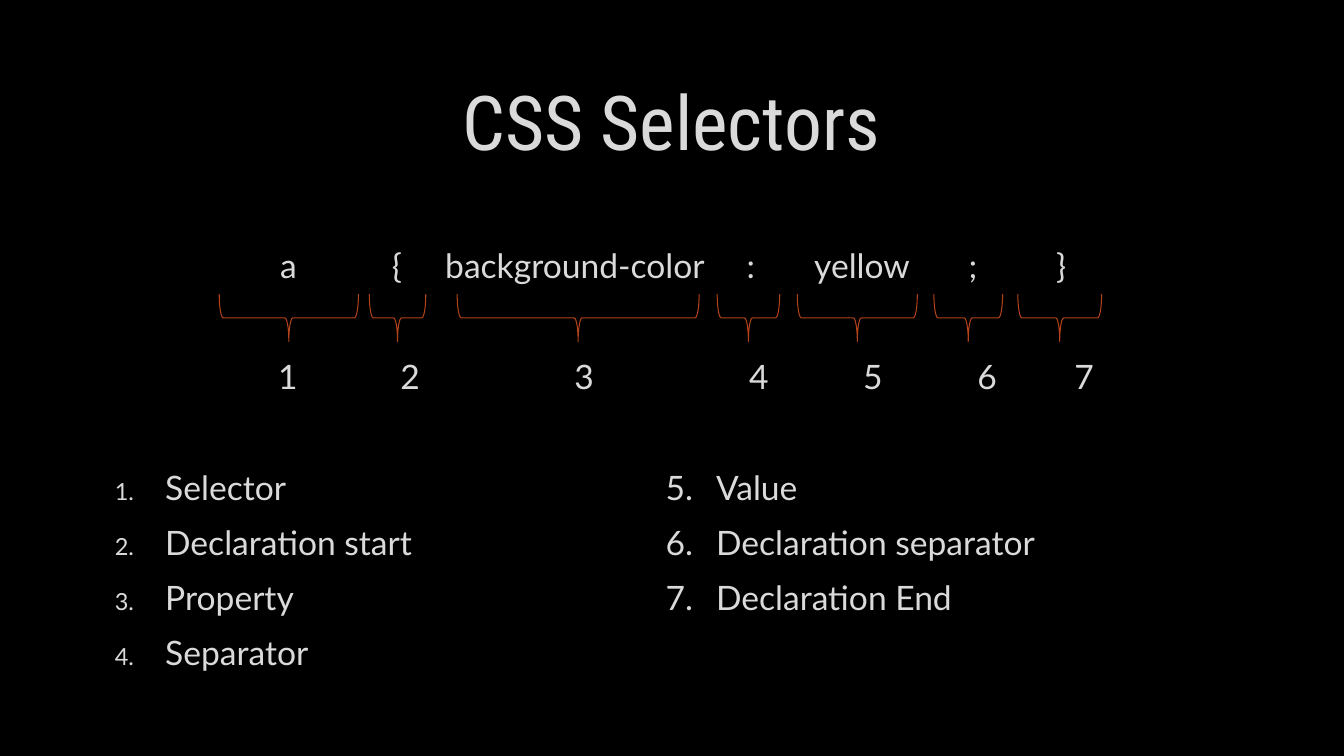
from lxml import etree
from pptx import Presentation, util as u
from pptx.dml.color import RGBColor
from pptx.enum import shapes, text
from pptx.oxml import ns

COLORS = {"background": "000000", "text": "DADADA", "brace": "B4421A"}
TITLE_FONT, BODY_FONT = "Roboto Condensed", "Lato"
BODY_SIZE, LINE_HEIGHT = 24, 29
TOKEN_TOP, BRACE_TOP, NUMBER_TOP, LIST_TOP = 175, 210, 254, 333.4
BRACE_HEIGHT = 34

# Token, its centre, brace centre, brace width, number centre
PARTS = [
    ("a", 206, 206.3, 99.4, 205.7),
    ("{", 283.6, 284, 40.3, 293),
    ("background-color", 410.7, 413, 172.8, 417.3),
    (":", 536.4, 534.6, 44.6, 542),
    ("yellow", 615.7, 612.4, 85.7, 623.5),
    (";", 695, 691.6, 49, 705),
    ("}", 758, 757, 59.8, 774.3),
]
# Items, left edge, first number, number size in percent
LISTS = [
    (["Selector", "Declaration start", "Property", "Separator"], 82, 1, 70),
    (["Value", "Declaration separator", "Declaration End"], 475.5, 5, 100),
]


class SlideBuilder:
    """Holds the style and the current slide."""

    def __init__(self, slide):
        """Take the slide and paint its background."""
        self.slide = slide
        fill = slide.background.fill
        fill.solid()
        fill.fore_color.rgb = self.color("background")

    def color(self, name):
        """Return a named colour."""
        return RGBColor.from_string(COLORS[name])

    def place(self, shape, left, top, width, height):
        """Move and size a shape, in points."""
        shape.left, shape.top = u.Pt(left), u.Pt(top)
        shape.width, shape.height = u.Pt(width), u.Pt(height)

    def frame(self, shape, anchor, wrap=True):
        """Return the shape's text frame without insets or fitting."""
        frame = shape.text_frame
        frame.margin_left = frame.margin_right = 0
        frame.margin_top = frame.margin_bottom = 0
        frame.auto_size = text.MSO_AUTO_SIZE.NONE
        frame.vertical_anchor = anchor
        frame.word_wrap = wrap
        return frame

    def run(self, paragraph, words, size=BODY_SIZE, font=BODY_FONT):
        """Add one styled run."""
        run = paragraph.add_run()
        run.text = words
        run.font.size, run.font.name = u.Pt(size), font
        run.font.color.rgb = self.color("text")

    def title(self, words):
        """Fill the title placeholder."""
        shape = self.slide.shapes.title
        self.place(shape, 72, 48, 815, 76)
        paragraph = self.frame(shape, text.MSO_ANCHOR.MIDDLE).paragraphs[0]
        paragraph.alignment = text.PP_ALIGN.CENTER
        self.run(paragraph, words, 54, TITLE_FONT)

    def label(self, words, center, top, width):
        """Add a one-line text centred on a point."""
        shape = self.slide.shapes.add_textbox(0, 0, 0, 0)
        self.place(shape, center - width / 2, top, width, LINE_HEIGHT)
        frame = self.frame(shape, text.MSO_ANCHOR.TOP, wrap=False)
        frame.paragraphs[0].alignment = text.PP_ALIGN.CENTER
        self.run(frame.paragraphs[0], words)

    def brace(self, center, width):
        """Add a brace that points down."""
        shape = self.slide.shapes.add_shape(shapes.MSO_SHAPE.LEFT_BRACE, 0, 0, 0, 0)
        middle = BRACE_TOP + BRACE_HEIGHT / 2
        self.place(shape, center - BRACE_HEIGHT / 2, middle - width / 2,
                   BRACE_HEIGHT, width)
        shape.rotation = 270
        shape.shadow.inherit = False
        shape.fill.background()
        shape.line.color.rgb = self.color("brace")
        shape.line.width = u.Pt(0.75)

    def numbering(self, paragraph, start, percent):
        """Number a paragraph with a hanging indent."""
        properties = paragraph._p.get_or_add_pPr()
        properties.set("marL", str(u.Pt(36)))
        properties.set("indent", str(u.Pt(-36)))
        color = etree.SubElement(properties, ns.qn("a:buClr"))
        etree.SubElement(color, ns.qn("a:srgbClr"), val=COLORS["text"])
        etree.SubElement(properties, ns.qn("a:buSzPct"), val=str(percent * 1000))
        etree.SubElement(properties, ns.qn("a:buFont"), typeface=BODY_FONT)
        etree.SubElement(properties, ns.qn("a:buAutoNum"),
                         type="arabicPeriod", startAt=str(start))

    def numbered_list(self, shape, items, left, start, percent):
        """Fill a body placeholder with a numbered list."""
        self.place(shape, left, LIST_TOP, 370, 170)
        frame = self.frame(shape, text.MSO_ANCHOR.TOP)
        for index, item in enumerate(items):
            paragraph = frame.add_paragraph() if index else frame.paragraphs[0]
            paragraph.line_spacing = 1.0
            paragraph.space_before, paragraph.space_after = u.Pt(0), u.Pt(10.6)
            self.numbering(paragraph, start, percent)
            self.run(paragraph, item)


def main():
    """Build and save the slide."""
    presentation = Presentation()
    presentation.slide_width, presentation.slide_height = u.Pt(960), u.Pt(540)
    slide = presentation.slides.add_slide(presentation.slide_layouts[3])
    builder = SlideBuilder(slide)
    builder.title("CSS Selectors")
    for index, content in enumerate(LISTS, start=1):
        builder.numbered_list(slide.placeholders[index], *content)
    for number, part in enumerate(PARTS, start=1):
        token, token_center, brace_center, width, number_center = part
        builder.label(token, token_center, TOKEN_TOP, width)
        builder.brace(brace_center, width)
        builder.label(str(number), number_center, NUMBER_TOP, width)
    presentation.save("out.pptx")


main()
